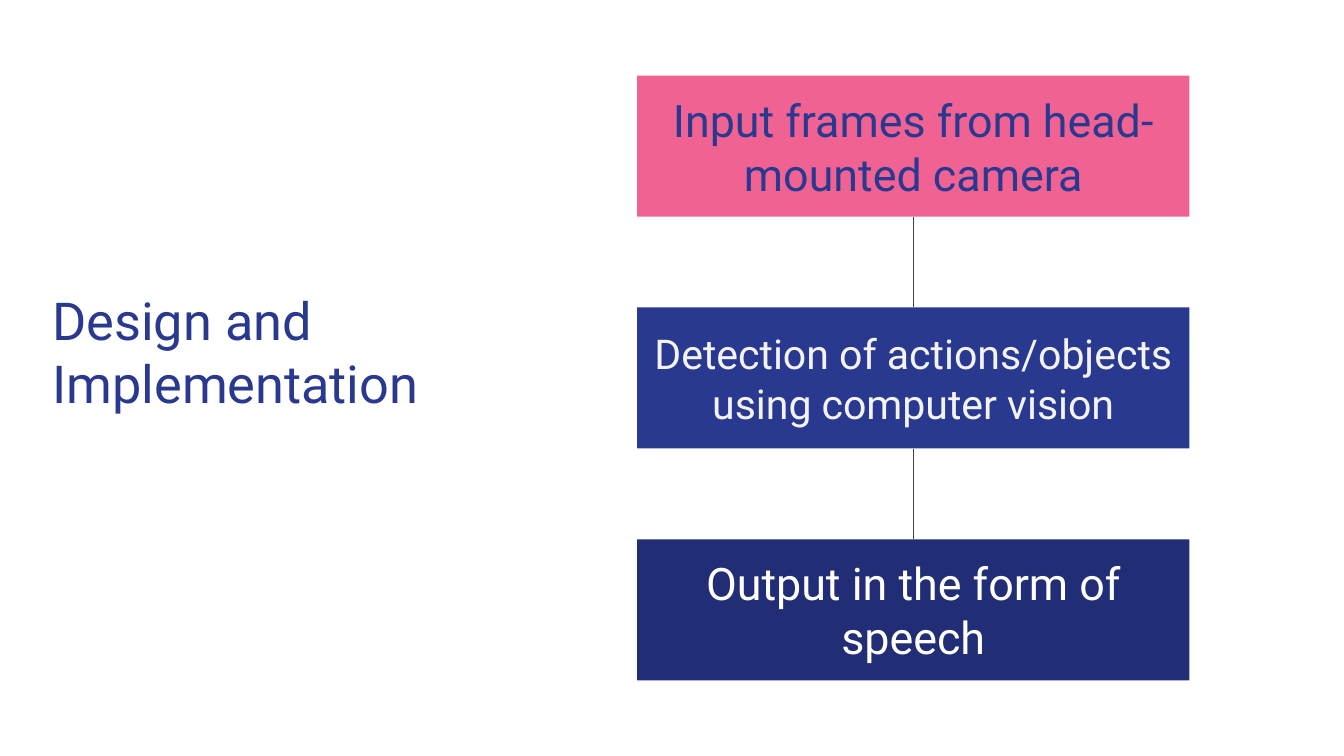
import dataclasses

import pptx
import pptx.dml.color
import pptx.enum.shapes
import pptx.enum.text
import pptx.oxml.ns
import pptx.presentation
import pptx.shapes.autoshape
import pptx.slide
import pptx.text.text
import pptx.util
from lxml import etree

ALIGN = pptx.enum.text.PP_ALIGN
ANCHOR = pptx.enum.text.MSO_ANCHOR

COLORS = {
    "white": "FFFFFF",
    "pale": "F3F3F3",
    "pink": "F06292",
    "indigo": "2A3990",
    "navy": "212D74",
    "line": "434343",
}
FONT = "Roboto"
SLIDE_WIDTH = pptx.util.Inches(10)
SLIDE_HEIGHT = SLIDE_WIDTH * 9 // 16

STEP_LEFT = pptx.util.Inches(4.74)
STEP_WIDTH = pptx.util.Inches(4.11)
STEP_HEIGHT = pptx.util.Inches(1.05)
FIRST_STEP_TOP = SLIDE_HEIGHT // 10
STEP_PITCH = (SLIDE_HEIGHT - 2 * FIRST_STEP_TOP - STEP_HEIGHT) // 2
BOTTOM_SITE, TOP_SITE = 2, 0


@dataclasses.dataclass(frozen=True)
class Step:
    text: str
    fill: str
    color: str
    size: int


STEPS = [
    Step("Input frames from head-mounted camera", "pink", "indigo", 24),
    Step("Detection of actions/objects using computer vision", "indigo", "pale", 22),
    Step("Output in the form of speech", "navy", "white", 24),
]


def rgb(name: str) -> pptx.dml.color.RGBColor:
    return pptx.dml.color.RGBColor.from_string(COLORS[name])


def write_text(
    frame: pptx.text.text.TextFrame,
    text: str,
    *,
    size: int,
    color: str,
    align: ALIGN = ALIGN.LEFT,
    anchor: ANCHOR = ANCHOR.MIDDLE,
) -> None:
    frame.word_wrap = True
    frame.auto_size = pptx.enum.text.MSO_AUTO_SIZE.NONE
    frame.vertical_anchor = anchor
    frame.margin_left = frame.margin_right = pptx.util.Inches(0.1)
    frame.margin_top = frame.margin_bottom = pptx.util.Inches(0.1)
    paragraph = frame.paragraphs[0]
    paragraph.alignment = align
    run = paragraph.add_run()
    run.text = text
    run.font.name = FONT
    run.font.size = pptx.util.Pt(size)
    run.font.color.rgb = rgb(color)


def add_step(
    slide: pptx.slide.Slide, step: Step, row: int
) -> pptx.shapes.autoshape.Shape:
    box = slide.shapes.add_shape(
        pptx.enum.shapes.MSO_SHAPE.RECTANGLE,
        STEP_LEFT,
        FIRST_STEP_TOP + row * STEP_PITCH,
        STEP_WIDTH,
        STEP_HEIGHT,
    )
    box.shadow.inherit = False
    box.fill.solid()
    box.fill.fore_color.rgb = rgb(step.fill)
    box.line.fill.background()
    write_text(
        box.text_frame, step.text, size=step.size, color=step.color, align=ALIGN.CENTER
    )
    return box


def link_steps(
    slide: pptx.slide.Slide,
    upper: pptx.shapes.autoshape.Shape,
    lower: pptx.shapes.autoshape.Shape,
) -> None:
    link = slide.shapes.add_connector(
        pptx.enum.shapes.MSO_CONNECTOR.STRAIGHT, 0, 0, 0, 0
    )
    link.begin_connect(upper, BOTTOM_SITE)
    link.end_connect(lower, TOP_SITE)
    link.line.color.rgb = rgb("line")
    link.line.width = pptx.util.Pt(0.75)
    etree.SubElement(link.element.spPr, pptx.oxml.ns.qn("a:effectLst"))


def add_title(slide: pptx.slide.Slide) -> None:
    title = slide.shapes.title
    title.left, title.top = pptx.util.Inches(0.29), pptx.util.Inches(2.35)
    title.width, title.height = pptx.util.Inches(3.07), pptx.util.Inches(0.83)
    write_text(
        title.text_frame,
        "Design and Implementation",
        size=28,
        color="indigo",
        anchor=ANCHOR.BOTTOM,
    )


def build() -> pptx.presentation.Presentation:
    deck = pptx.Presentation()
    deck.slide_width, deck.slide_height = SLIDE_WIDTH, SLIDE_HEIGHT
    slide = deck.slides.add_slide(deck.slide_layouts.get_by_name("Title Only"))
    slide.background.fill.solid()
    slide.background.fill.fore_color.rgb = rgb("white")
    add_title(slide)
    boxes = [add_step(slide, step, row) for row, step in enumerate(STEPS)]
    for upper, lower in zip(boxes, boxes[1:]):
        link_steps(slide, upper, lower)
    return deck


if __name__ == "__main__":
    build().save("out.pptx")
